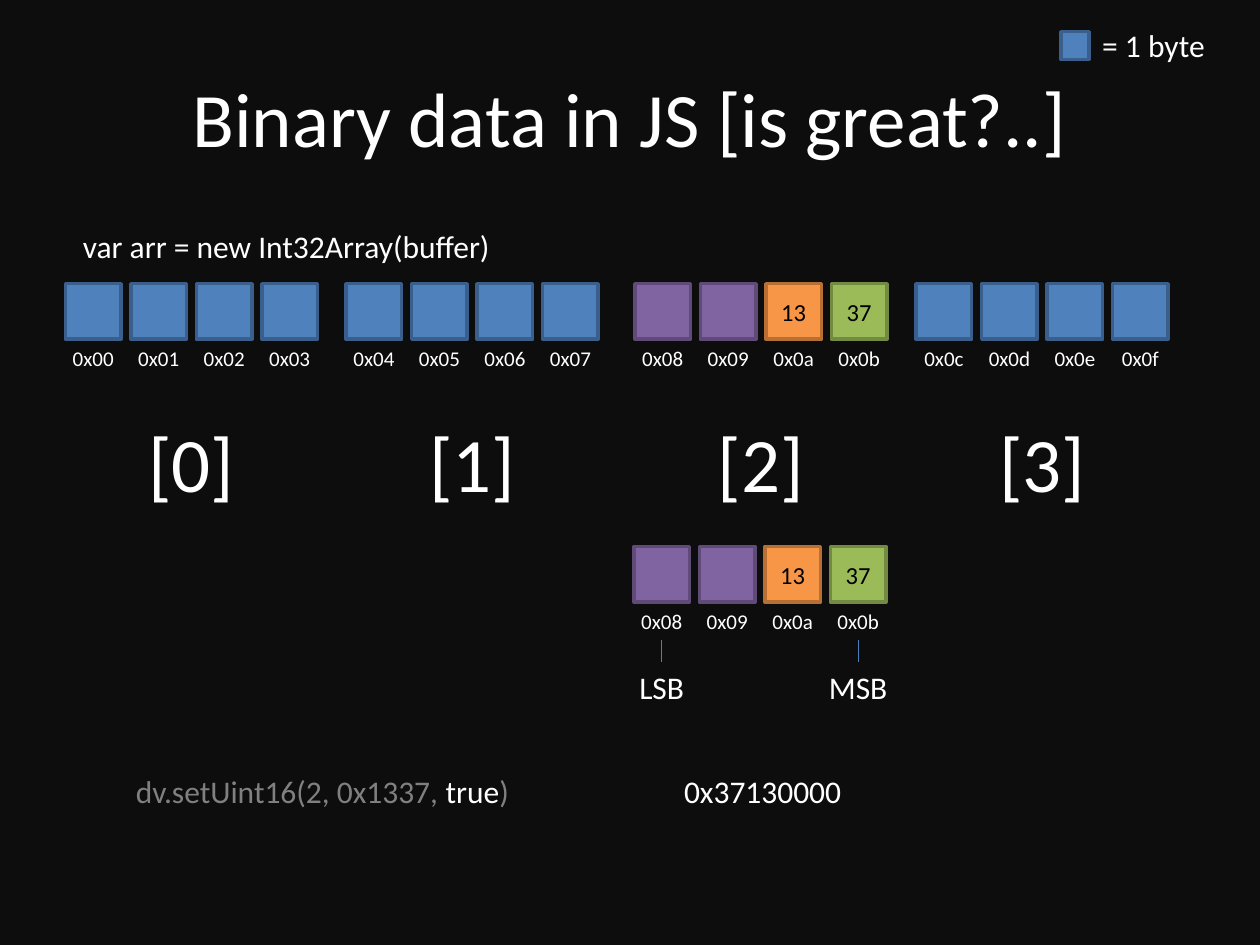
from pptx import Presentation
from pptx.dml.color import RGBColor
from pptx.enum.shapes import MSO_CONNECTOR, MSO_SHAPE
from pptx.enum.text import MSO_ANCHOR, PP_ALIGN
from pptx.oxml.ns import qn
from pptx.util import Cm, Pt
from lxml import etree

RECTANGLE = MSO_SHAPE.RECTANGLE
STRAIGHT = MSO_CONNECTOR.STRAIGHT
LEFT, CENTER = PP_ALIGN.LEFT, PP_ALIGN.CENTER
TOP, MIDDLE = MSO_ANCHOR.TOP, MSO_ANCHOR.MIDDLE
BOTTOM_SIDE, TOP_SIDE = 2, 0

color = RGBColor.from_string
WHITE, GREY, BLACK = "FFFFFF", "808080", "000000"
BLUE = ("4F81BD", "3A5F8C")
PURPLE = ("8064A2", "5F4A78")
ORANGE = ("F79646", "B76F34")
GREEN = ("9BBB59", "738A42")

# Centimetres
BYTE = 1.12
PITCH = 1.32
ADDRESS_WIDTH = 1.35
INDEX_WIDTH = 2.26
WORD_WIDTH = 3 * PITCH + BYTE

presentation = Presentation()
presentation.slide_width = Cm(25.4)
presentation.slide_height = Cm(19.05)
slide = presentation.slides.add_slide(presentation.slide_layouts[6])
slide.background.fill.solid()
slide.background.fill.fore_color.rgb = color("0D0D0D")


def add_text(left, top, width, height, runs, size, align=LEFT, anchor=TOP):
    """Add one line of text; runs is a list of (text, colour) pairs."""
    box = slide.shapes.add_textbox(Cm(left), Cm(top), Cm(width), Cm(height))
    frame = box.text_frame
    for name, value in {"word_wrap": False, "vertical_anchor": anchor}.items():
        setattr(frame, name, value)
    frame.paragraphs[0].alignment = align
    for text, run_color in runs:
        run = frame.paragraphs[0].add_run()
        run.text = text
        for name, value in {"size": Pt(size), "name": "Calibri"}.items():
            setattr(run.font, name, value)
        run.font.color.rgb = color(run_color)
    return box


def add_byte(left, top, side, colors, value=""):
    square = slide.shapes.add_shape(RECTANGLE, Cm(left), Cm(top), Cm(side), Cm(side))
    square.shadow.inherit = False
    square.fill.solid()
    square.fill.fore_color.rgb = color(colors[0])
    square.line.color.rgb = color(colors[1])
    square.line.width = Pt(2)
    if value:
        frame = square.text_frame
        margins = ("margin_left", "margin_right", "margin_top", "margin_bottom")
        for name, setting in {**dict.fromkeys(margins, 0), "word_wrap": False,
                              "vertical_anchor": MIDDLE}.items():
            setattr(frame, name, setting)
        frame.paragraphs[0].alignment = CENTER
        run = frame.paragraphs[0].add_run()
        run.text = value
        for name, setting in {"size": Pt(14), "name": "Calibri"}.items():
            setattr(run.font, name, setting)
        run.font.color.rgb = color(BLACK)


# Title and legend
add_text(1.27, 0.76, 22.86, 3.18, [("Binary data in JS [is great?..]", WHITE)],
         44, CENTER, MIDDLE)
add_byte(21.39, 0.64, 0.56, BLUE)
add_text(21.97, 0.41, 2.62, 1.02, [("= 1 byte", WHITE)], 18)

# Words of four bytes: the whole buffer, then element [2] again
plain_word = [(BLUE, "")] * 4
written_word = [(PURPLE, ""), (PURPLE, ""), (ORANGE, "13"), (GREEN, "37")]
words = [
    (0, 1.32, 5.72, plain_word),
    (1, 6.98, 5.72, plain_word),
    (2, 12.8, 5.72, written_word),
    (3, 18.47, 5.72, plain_word),
    (2, 12.78, 11.02, written_word),
]
for index, word_left, word_top, word_bytes in words:
    addresses = []
    for position, (byte_colors, value) in enumerate(word_bytes):
        byte_left = word_left + position * PITCH
        add_byte(byte_left, word_top, BYTE, byte_colors, value)
        addresses.append(add_text(
            byte_left + (BYTE - ADDRESS_WIDTH) / 2, word_top + BYTE,
            ADDRESS_WIDTH, 0.76,
            [(f"0x{4 * index + position:02x}", WHITE)], 12, CENTER))
    if word_top < 10:
        add_text(word_left + (WORD_WIDTH - INDEX_WIDTH) / 2, 8.26, INDEX_WIDTH, 2.13,
                 [(f"[{index}]", WHITE)], 44, CENTER)

# Least and most significant bytes of the lower word
for significance, left, width, address in [("LSB", 12.63, 1.42, addresses[0]),
                                           ("MSB", 16.45, 1.7, addresses[-1])]:
    caption = add_text(left, 13.34, width, 1.02, [(significance, WHITE)], 18, CENTER)
    tick = slide.shapes.add_connector(STRAIGHT, 0, 0, 0, 0)
    tick.begin_connect(address, BOTTOM_SIDE)
    tick.end_connect(caption, TOP_SIDE)
    tick.line.color.rgb = color("4B7EBC")
    tick.line.width = Pt(0.75)
    etree.SubElement(tick.element.spPr, qn("a:effectLst"))

# Code and result
add_text(1.42, 4.45, 8.97, 1.02, [("var arr = new Int32Array(buffer)", WHITE)], 18)
add_text(2.49, 15.44, 8.1, 1.02,
         [("dv.setUint16(2, 0x1337, ", GREY), ("true", WHITE), (")", GREY)], 18)
add_text(13.54, 15.44, 3.71, 1.02, [("0x37130000", WHITE)], 18)

presentation.save("out.pptx")
